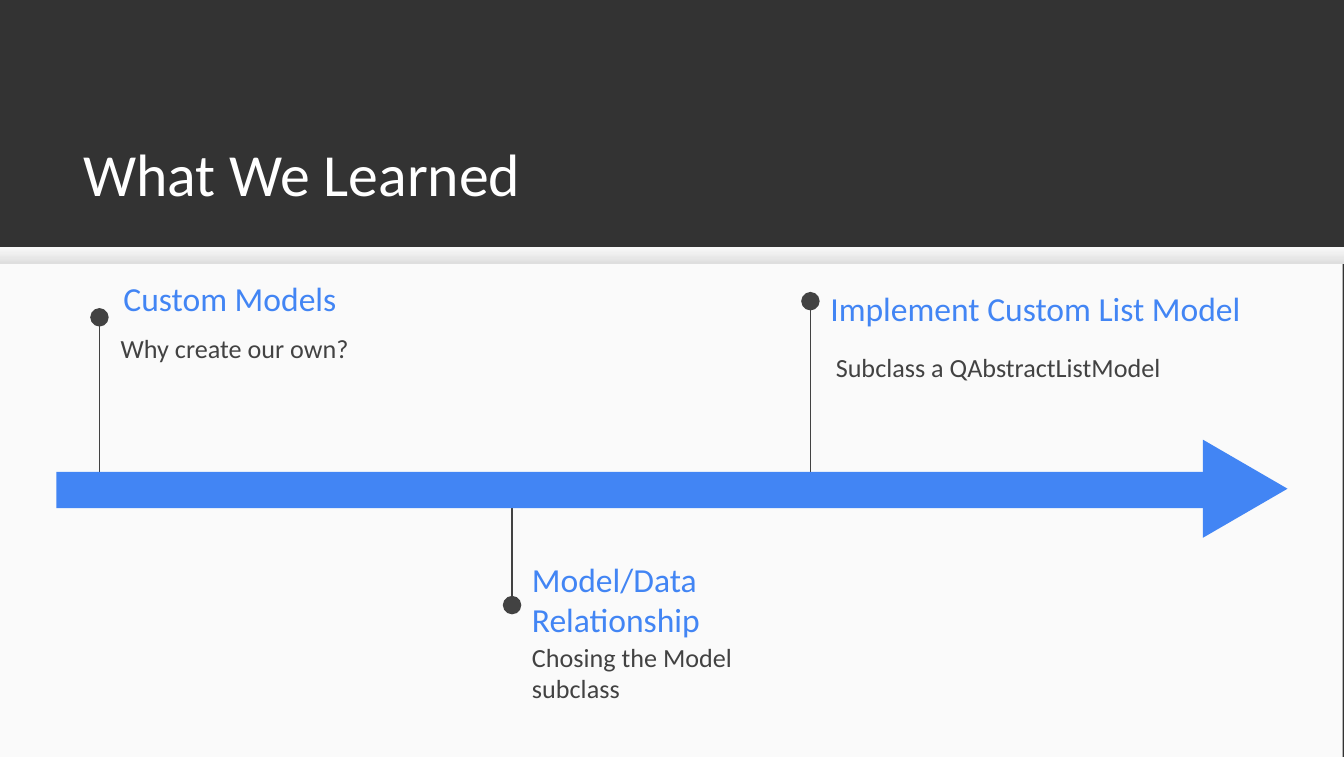
from lxml import etree
from pptx import Presentation
from pptx import util as u
from pptx.dml import color
from pptx.enum import shapes, text
from pptx.oxml import ns

PX = 9144
BLUE, DARK, WHITE = "4285F4", "424242", "FFFFFF"


def rgb(value):
    return color.RGBColor.from_string(value)


def write(shape, box, words, size, ink, anchor):
    shape.left, shape.top, shape.width, shape.height = [v * PX for v in box]
    frame = shape.text_frame
    frame.text = words
    frame.word_wrap = True
    frame.auto_size = text.MSO_AUTO_SIZE.NONE
    frame.vertical_anchor = anchor
    frame.margin_left = frame.margin_right = 10 * PX
    frame.margin_top = frame.margin_bottom = 10 * PX
    paragraph = frame.paragraphs[0]
    paragraph.alignment = text.PP_ALIGN.LEFT
    font = paragraph.runs[0].font
    font.name, font.size = "Calibri", u.Pt(size)
    font.color.rgb = rgb(ink)


presentation = Presentation()
presentation.slide_width = 1000 * PX
presentation.slide_height = 563 * PX
slide = presentation.slides.add_slide(presentation.slide_layouts[5])
slide.background.fill.solid()
slide.background.fill.fore_color.rgb = rgb("333333")

write(slide.shapes.title, (52, 81, 899, 84), "What We Learned", 32, WHITE,
      text.MSO_ANCHOR.BOTTOM)

RECTANGLE = shapes.MSO_SHAPE.RECTANGLE
TRIANGLE = shapes.MSO_SHAPE.ISOSCELES_TRIANGLE
panel, band = [
    slide.shapes.add_shape(RECTANGLE, *[v * PX for v in box])
    for box in [(-1, 185, 1000, 378), (0, 184, 1000, 12)]
]
panel.fill.solid()
panel.fill.fore_color.rgb = rgb("FAFAFA")
band.fill.gradient()
band.fill.gradient_angle = 270
for stop, shade in zip(band.fill.gradient_stops, ["F9F9F9", "DEDEDE"]):
    stop.color.rgb = rgb(shade)
for shape in (panel, band):
    shape.line.fill.background()
    shape.shadow.inherit = False

milestones = [
    (74, 351, 236, "Custom Models", (82, 200, 228, 43),
     "Why create our own?", (80, 237, 280, 63)),
    (381, 378, 450, "Model/Data Relationship", (386, 424, 254, 43),
     "Chosing the Model subclass", (386, 467, 198, 63)),
    (603, 351, 224, "Implement Custom List Model", (608, 208, 382, 43),
     "Subclass a QAbstractListModel", (612, 251, 308, 63)),
]
for x, start, end, heading, heading_box, detail, detail_box in milestones:
    stem = slide.shapes.add_connector(
        shapes.MSO_CONNECTOR.STRAIGHT, x * PX, start * PX, x * PX, end * PX)
    stem.line.color.rgb = rgb(DARK)
    stem.line.width = u.Pt(0.75)
    etree.SubElement(stem.line._get_or_add_ln(), ns.qn("a:tailEnd"),
                     type="oval", w="lg", len="lg")
    etree.SubElement(stem._element.spPr, ns.qn("a:effectLst"))
    write(slide.shapes.add_textbox(0, 0, 0, 0), heading_box, heading, 18, BLUE,
          text.MSO_ANCHOR.MIDDLE)
    write(slide.shapes.add_textbox(0, 0, 0, 0), detail_box, detail, 14, DARK,
          text.MSO_ANCHOR.TOP)

arrow = slide.shapes.add_group_shape()
for kind, box, angle in [(TRIANGLE, (890, 332, 73, 63), 90),
                         (RECTANGLE, (42, 351, 864, 27), 0)]:
    shape = arrow.shapes.add_shape(kind, *[v * PX for v in box])
    shape.rotation = angle
    shape.fill.solid()
    shape.fill.fore_color.rgb = rgb(BLUE)
    shape.line.fill.background()
    shape.shadow.inherit = False

presentation.save("out.pptx")
